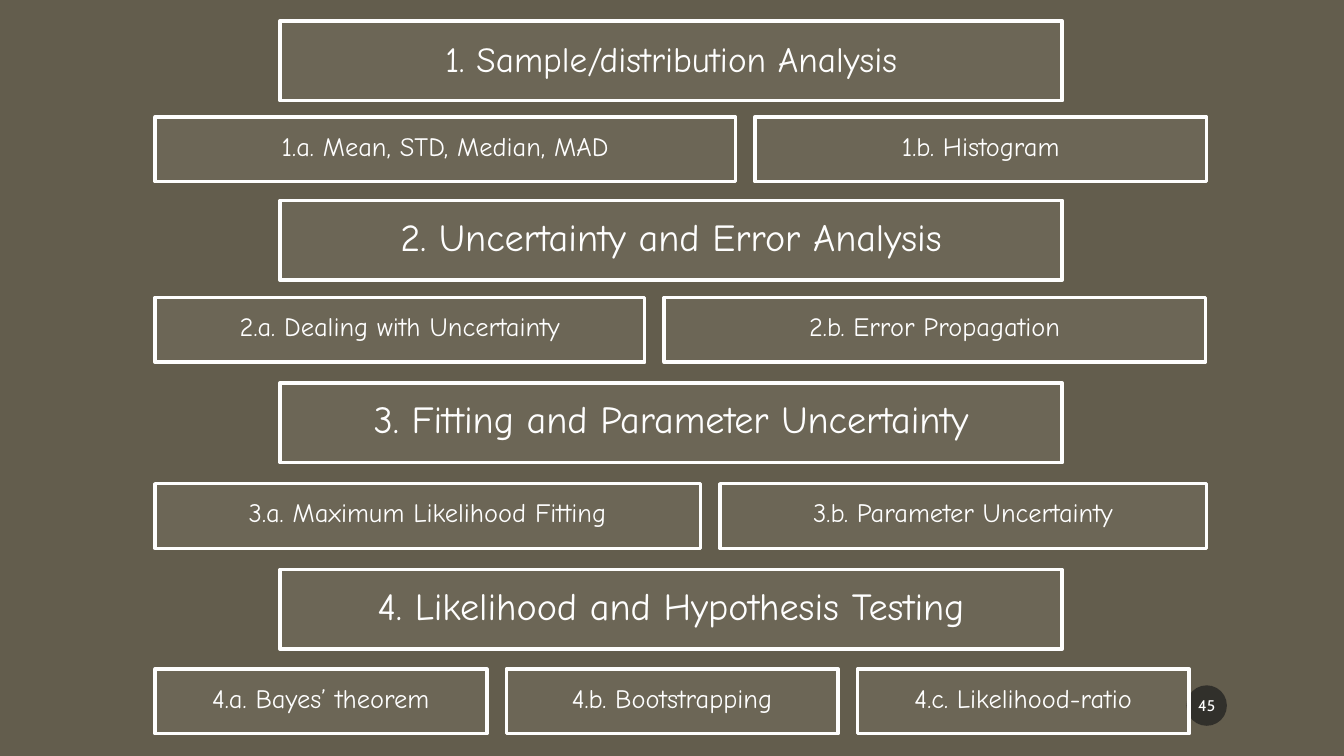
from dataclasses import dataclass

import pptx
import pptx.dml.color
import pptx.enum.shapes
import pptx.enum.text
import pptx.oxml.ns
import pptx.util
from lxml import etree

Cm = pptx.util.Cm
Pt = pptx.util.Pt
MSO_SHAPE = pptx.enum.shapes.MSO_SHAPE

BACKGROUND = "635D4D"
PANEL = "A69F8E"
CHALK = "FEFEFE"
HEADING_LEFT, HEADING_WIDTH, HEADING_HEIGHT = 7.06, 19.71, 2.01
TOPIC_LEFT, TOPIC_HEIGHT, TOPIC_GAP = 3.91, 1.63, 0.49


@dataclass
class Style:
    font: str
    size: float
    color: str
    fill: str
    opacity: int
    margin_x: float
    margin_y: float
    spacing: float = 1.0
    border: str = ""


@dataclass
class Topic:
    text: str
    width: float


@dataclass
class Section:
    heading: str
    top: float
    topics_top: float
    topics: list[Topic]
    style: Style


def panel_style(size: float, spacing: float) -> Style:
    return Style("Comic Neue", size, CHALK, PANEL, 15, 0.51, 0.51, spacing, CHALK)


FIRST_HEADING = panel_style(25.2, 0.9)
HEADING = panel_style(27.3, 0.8)
TOPIC = panel_style(18.9, 0.7)
BADGE = Style("Cabin", 11, "FFFFFF", "1D1D1D", 70, 0.05, 0.13)

SECTIONS = [
    Section("1. Sample/distribution Analysis", 0.53, 2.95, [
        Topic("1.a. Mean, STD, Median, MAD", 14.63),
        Topic("1.b. Histogram", 11.38),
    ], FIRST_HEADING),
    Section("2. Uncertainty and Error Analysis", 5.05, 7.5, [
        Topic("2.a. Dealing with Uncertainty", 12.34),
        Topic("2.b. Error Propagation", 13.64),
    ], HEADING),
    Section("3. Fitting and Parameter Uncertainty", 9.65, 12.19, [
        Topic("3.a. Maximum Likelihood Fitting", 13.74),
        Topic("3.b. Parameter Uncertainty", 12.27),
    ], HEADING),
    Section("4. Likelihood and Hypothesis Testing", 14.35, 16.86, [
        Topic("4.a. Bayes’ theorem", 8.36),
        Topic("4.b. Bootstrapping", 8.36),
        Topic("4.c. Likelihood-ratio", 8.36),
    ], HEADING),
]


def rgb(color: str) -> pptx.dml.color.RGBColor:
    return pptx.dml.color.RGBColor.from_string(color)


def add_box(s, kind, text: str, left: float, top: float, width: float,
            height: float, style: Style) -> None:
    sp = s.shapes.add_shape(kind, Cm(left), Cm(top), Cm(width), Cm(height))
    sp.shadow.inherit = False
    sp.fill.solid()
    sp.fill.fore_color.rgb = rgb(style.fill)
    qn = pptx.oxml.ns.qn
    clr = sp.fill._xPr.find(qn("a:solidFill")).find(qn("a:srgbClr"))
    etree.SubElement(clr, qn("a:alpha"), val=str(style.opacity * 1000))
    if style.border:
        sp.line.color.rgb = rgb(style.border)
        sp.line.width = Pt(2.5)
    else:
        sp.line.fill.background()
    tf = sp.text_frame
    tf.word_wrap = True
    tf.vertical_anchor = pptx.enum.text.MSO_ANCHOR.MIDDLE
    tf.margin_left = tf.margin_right = Cm(style.margin_x)
    tf.margin_top = tf.margin_bottom = Cm(style.margin_y)
    p = tf.paragraphs[0]
    p.text = text
    p.alignment = pptx.enum.text.PP_ALIGN.CENTER
    p.line_spacing = style.spacing
    p.font.name = style.font
    p.font.size = Pt(style.size)
    p.font.color.rgb = rgb(style.color)


def add_section(s, section: Section) -> None:
    add_box(s, MSO_SHAPE.RECTANGLE, section.heading, HEADING_LEFT, section.top,
            HEADING_WIDTH, HEADING_HEIGHT, section.style)
    left = TOPIC_LEFT
    for topic in section.topics:
        add_box(s, MSO_SHAPE.RECTANGLE, topic.text, left, section.topics_top,
                topic.width, TOPIC_HEIGHT, TOPIC)
        left += topic.width + TOPIC_GAP


def main() -> None:
    prs = pptx.Presentation()
    prs.slide_width, prs.slide_height = Cm(33.87), Cm(19.05)
    s = prs.slides.add_slide(prs.slide_layouts[6])
    s.background.fill.solid()
    s.background.fill.fore_color.rgb = rgb(BACKGROUND)
    add_box(s, MSO_SHAPE.OVAL, "45", 29.9, 17.27, 1.02, 1.02, BADGE)
    for section in SECTIONS:
        add_section(s, section)
    prs.save("out.pptx")


if __name__ == "__main__":
    main()
